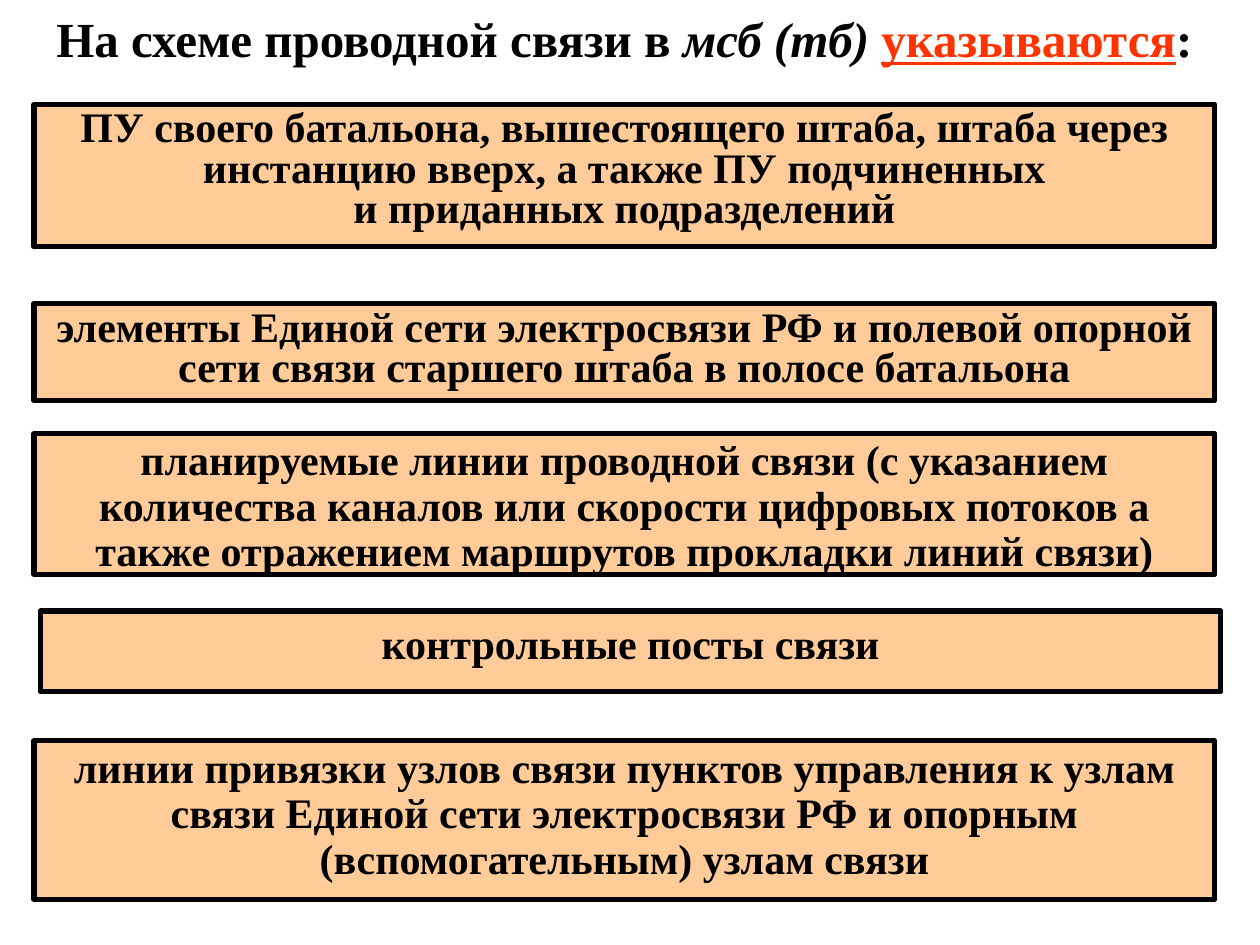
from pptx import Presentation
from pptx.dml.color import RGBColor
from pptx.enum.shapes import MSO_SHAPE as Shape
from pptx.enum.text import MSO_ANCHOR as Anchor, MSO_AUTO_SIZE as AutoSize, PP_ALIGN as Align
from pptx.util import Inches, Pt

FONT = "Times New Roman"
BLACK, RED, PEACH = "000000", "FF3300", "FFCC99"
LEFT, WIDTH = 0.27, 9.37

# Left, top, height, line spacing, paragraphs
REQUIREMENTS = [
    (LEFT, 0.83, 1.13, 0.8, [
        "ПУ своего батальона, вышестоящего штаба, штаба через "
        "инстанцию вверх, а также ПУ подчиненных",
        "и приданных подразделений"]),
    (LEFT, 2.41, 0.77, 0.8, [
        "элементы Единой сети электросвязи РФ и полевой опорной "
        "сети связи старшего штаба в полосе батальона"]),
    (LEFT, 3.44, 1.12, 0.9, [
        "планируемые линии проводной связи (с указанием количества каналов "
        "или скорости цифровых потоков а также отражением маршрутов "
        "прокладки линий связи)"]),
    (LEFT + 0.05, 4.85, 0.64, 1.0, ["контрольные посты связи"]),
    (LEFT, 5.88, 1.26, 0.9, [
        "линии привязки узлов связи пунктов управления к узлам связи Единой "
        "сети электросвязи РФ и опорным (вспомогательным) узлам связи"]),
]


def color(hex_value):
    return RGBColor.from_string(hex_value)


def set_up_frame(frame):
    frame.word_wrap = True
    frame.auto_size = AutoSize.NONE
    frame.vertical_anchor = Anchor.TOP


def format_paragraph(paragraph, size, spacing=1.0):
    paragraph.alignment = Align.CENTER
    paragraph.line_spacing = spacing
    font = paragraph.font
    font.name, font.size, font.bold = FONT, Pt(size), True
    font.color.rgb = color(BLACK)


def add_heading(slide):
    heading = slide.shapes.title
    heading.left, heading.top = Inches(LEFT), Inches(0.02)
    heading.width, heading.height = Inches(WIDTH), Inches(0.61)
    set_up_frame(heading.text_frame)
    line = heading.text_frame.paragraphs[0]
    format_paragraph(line, 28)
    subject, unit, verb, colon = (line.add_run() for _ in range(4))
    subject.text = "На схеме проводной связи в "
    unit.text = "мсб (тб) "
    unit.font.italic = True
    verb.text = "указываются"
    verb.font.underline = True
    verb.font.color.rgb = color(RED)
    colon.text = ":"


def add_requirement(slide, left, top, height, spacing, paragraphs):
    box = slide.shapes.add_shape(
        Shape.RECTANGLE, Inches(left), Inches(top), Inches(WIDTH), Inches(height))
    box.shadow.inherit = False
    box.fill.solid()
    box.fill.fore_color.rgb = color(PEACH)
    box.line.color.rgb = color(BLACK)
    box.line.width = Pt(3)
    set_up_frame(box.text_frame)
    box.text_frame.text = "\n".join(paragraphs)
    for paragraph in box.text_frame.paragraphs:
        format_paragraph(paragraph, 24, spacing)


def main():
    deck = Presentation()
    deck.slide_width, deck.slide_height = Inches(10), Inches(7.5)
    title_only = deck.slide_layouts[5]
    slide = deck.slides.add_slide(title_only)
    add_heading(slide)
    for requirement in REQUIREMENTS:
        add_requirement(slide, *requirement)
    deck.save("out.pptx")


if __name__ == "__main__":
    main()
